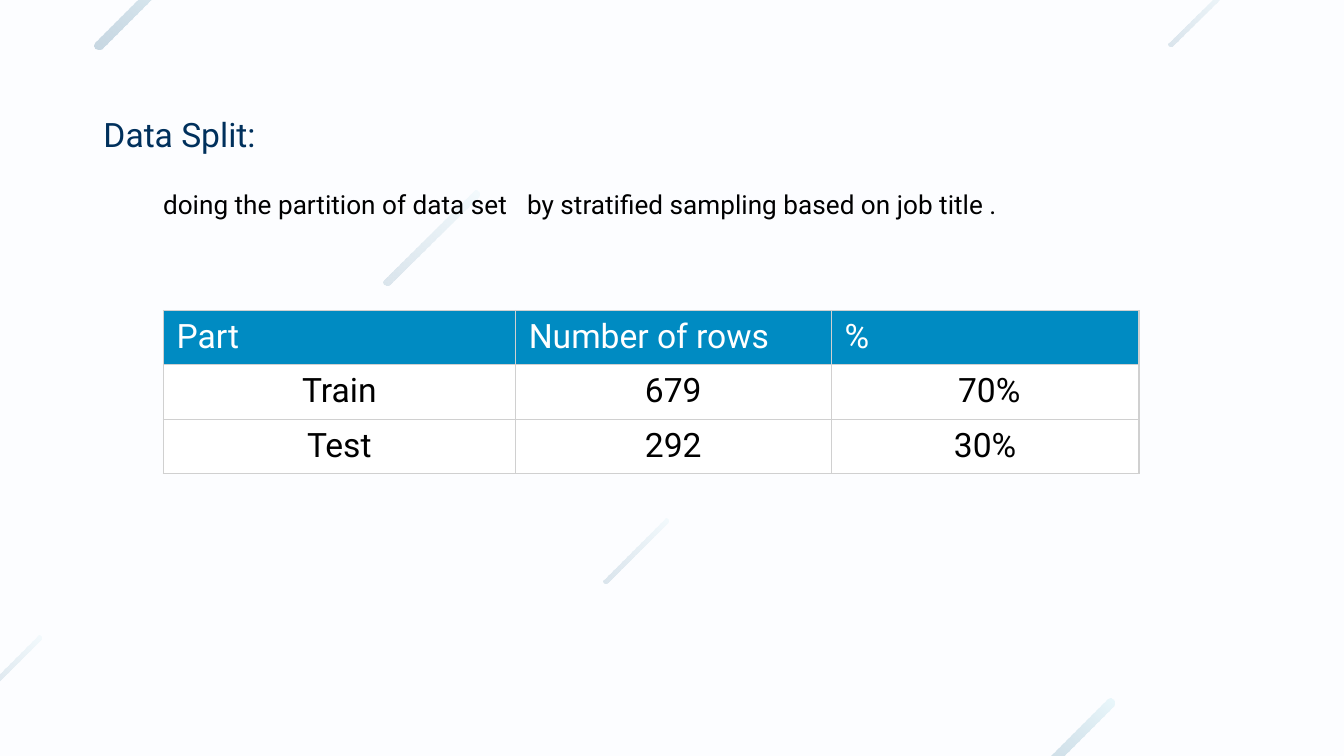
"""Build the data split slide: a title, a sentence, a table and slanted streaks."""
from dataclasses import dataclass

from lxml.etree import SubElement
from pptx import Presentation
from pptx.dml.color import RGBColor
from pptx.enum.shapes import MSO_SHAPE
from pptx.enum.text import MSO_ANCHOR, PP_ALIGN
from pptx.oxml.ns import qn
from pptx.slide import Slide
from pptx.table import _Cell
from pptx.text.text import TextFrame, _Paragraph, _Run
from pptx.util import Emu, Pt

FONT = "Roboto"
COLORS = {
    "page": "FCFDFF",
    "streak_start": "0A4F7A",
    "streak_end": "C8EFF7",
    "title": "00305C",
    "text": "000000",
    "header": "008BC2",
    "header_text": "FFFFFF",
    "cell": "FFFFFF",
    "border": "D0D0D0",
}
STRONG = (22, 32)
FAINT = (14, 16)
COLUMN_WIDTHS = (524, 470, 458)
ROW_HEIGHT = 81
ROWS = (
    ("Part", "Number of rows", "%"),
    ("Train", "679", " 70%"),
    ("Test", "292", "30%"),
)


@dataclass(frozen=True)
class Streak:
    left: int
    top: int
    width: int
    height: int
    opacities: tuple[int, int]


STREAKS = (
    Streak(207, -99, 14, 200, STRONG),
    Streak(14, 930, 8, 120, FAINT),
    Streak(942, 753, 8, 134, FAINT),
    Streak(636, 256, 12, 196, FAINT),
    Streak(1578, 1012, 14, 200, STRONG),
    Streak(1784, -46, 8, 134, FAINT),
)


def px(length: int) -> Emu:
    """Turn px, 200 to the inch, into EMU."""
    return Emu(length * 4572)


def color(name: str) -> RGBColor:
    """Look up a named colour."""
    return RGBColor.from_string(COLORS[name])


def add_span(para: _Paragraph, text: str, size: int, color_name: str) -> _Run:
    """Append one formatted run."""
    span = para.add_run()
    span.text = text
    span.font.size = Pt(size)
    span.font.name = FONT
    span.font.color.rgb = color(color_name)
    return span


def format_frame(frame: TextFrame, left_margin: int) -> _Paragraph:
    """Set wrapping, anchor and insets, and return the first paragraph."""
    frame.word_wrap = True
    frame.vertical_anchor = MSO_ANCHOR.TOP
    frame.margin_left, frame.margin_right = px(left_margin), px(20)
    frame.margin_top = frame.margin_bottom = px(10)
    para = frame.paragraphs[0]
    para.alignment = PP_ALIGN.LEFT
    return para


def add_streak(page: Slide, streak: Streak) -> None:
    """Draw a slanted rounded bar with a translucent gradient."""
    bar = page.shapes.add_shape(
        MSO_SHAPE.ROUNDED_RECTANGLE,
        px(streak.left), px(streak.top), px(streak.width), px(streak.height),
    )
    bar.adjustments[0] = 0.5
    bar.rotation = 45
    bar.shadow.inherit = False
    bar.line.fill.background()
    bar.fill.gradient()
    bar.fill.gradient_angle = 90
    for stop, name in zip(bar.fill.gradient_stops, ("streak_start", "streak_end")):
        stop.color.rgb = color(name)
    for tint, opacity in zip(bar.element.spPr.iter(qn("a:srgbClr")), streak.opacities):
        SubElement(tint, qn("a:alpha"), val=str(opacity * 1000))


def add_title(page: Slide) -> None:
    """Place and format the title placeholder."""
    title = page.shapes.title
    title.left, title.top, title.width, title.height = map(px, (108, 160, 302, 80))
    add_span(format_frame(title.text_frame, 46), "Data Split:", 18, "title")


def add_sentence(page: Slide) -> None:
    """Add the sentence, with one widened space inside it."""
    box = page.shapes.add_textbox(px(223), px(270), px(1424), px(68))
    para = format_frame(box.text_frame, 20)
    add_span(para, "doing the partition of data set", 14, "text")
    gap = add_span(para, " ", 14, "text")
    gap.font._element.set("spc", "700")
    add_span(para, "by stratified sampling based on job title .", 14, "text")


def add_borders(cell: _Cell) -> None:
    """Give a cell thin lines on all four sides, ahead of its fill."""
    properties = cell._tc.get_or_add_tcPr()
    for position, side in enumerate(("a:lnL", "a:lnR", "a:lnT", "a:lnB")):
        line = SubElement(properties, qn(side), w=str(Pt(0.75)))
        fill = SubElement(line, qn("a:solidFill"))
        SubElement(fill, qn("a:srgbClr"), val=COLORS["border"])
        properties.insert(position, line)


def add_split_table(page: Slide) -> None:
    """Add the table of parts, row counts and shares."""
    frame = page.shapes.add_table(
        len(ROWS), len(COLUMN_WIDTHS), px(243), px(462),
        px(sum(COLUMN_WIDTHS)), px(ROW_HEIGHT * len(ROWS)),
    )
    table = frame.table
    table.first_row = table.horz_banding = False
    for column, width in zip(table.columns, COLUMN_WIDTHS):
        column.width = px(width)
    for row_index, texts in enumerate(ROWS):
        is_header = row_index == 0
        for column_index, text in enumerate(texts):
            cell = table.cell(row_index, column_index)
            cell.fill.solid()
            cell.fill.fore_color.rgb = color("header" if is_header else "cell")
            add_borders(cell)
            para = cell.text_frame.paragraphs[0]
            para.alignment = PP_ALIGN.LEFT if is_header else PP_ALIGN.CENTER
            add_span(para, text, 18, "header_text" if is_header else "text")


def main() -> None:
    """Build and save the deck."""
    deck = Presentation()
    deck.slide_width, deck.slide_height = px(2000), px(1125)
    page = deck.slides.add_slide(deck.slide_layouts[5])
    page.background.fill.solid()
    page.background.fill.fore_color.rgb = color("page")
    for streak in STREAKS:
        add_streak(page, streak)
    add_split_table(page)
    add_title(page)
    add_sentence(page)
    deck.save("out.pptx")


if __name__ == "__main__":
    main()
